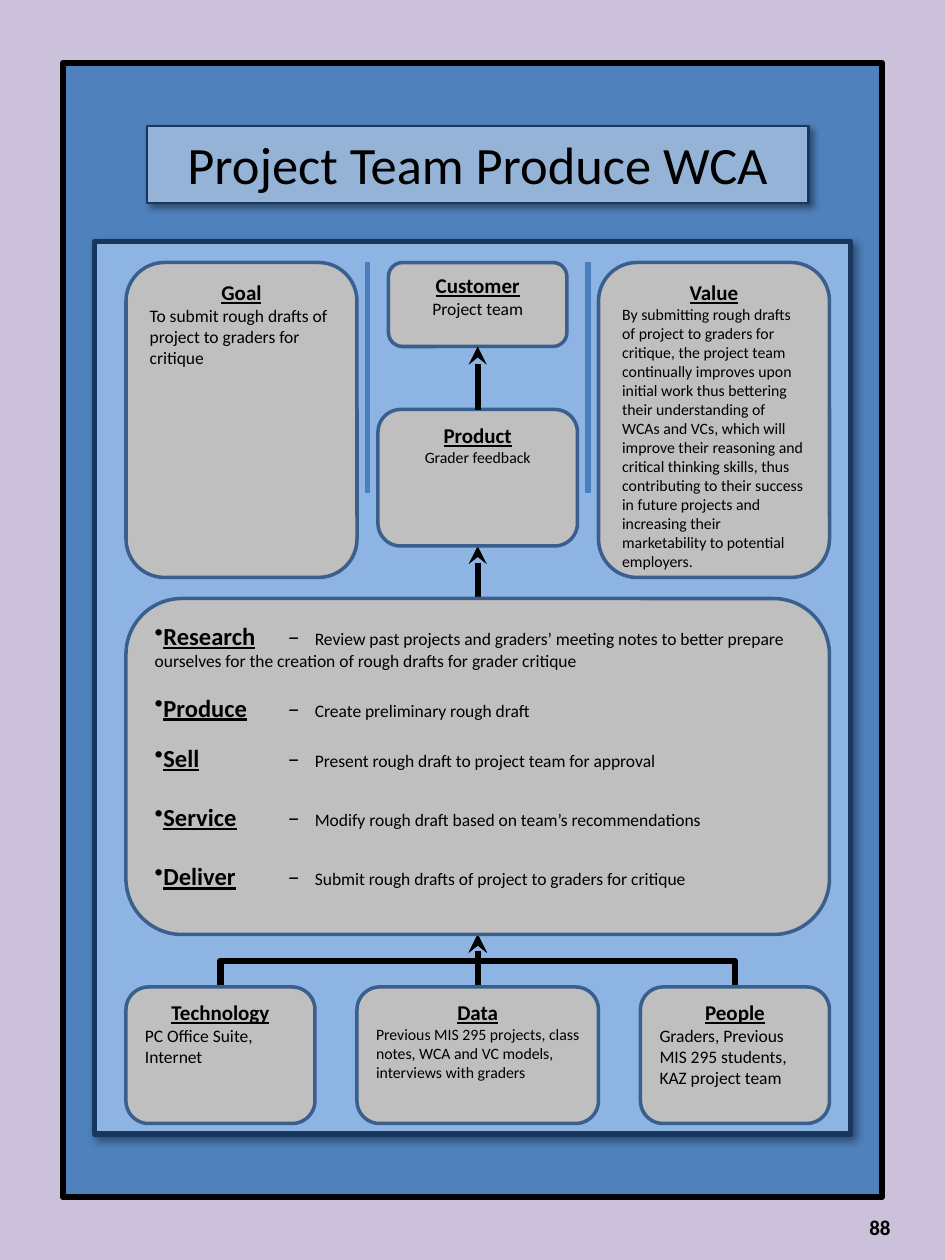
"""Build the work system snapshot slide for the project team."""
from dataclasses import dataclass

from lxml import etree
from pptx import Presentation, util as u
from pptx.dml import color
from pptx.enum import shapes, text
from pptx.oxml import ns

Pt = u.Pt
SHAPE = shapes.MSO_SHAPE
LINK = shapes.MSO_CONNECTOR
ALIGN = text.PP_ALIGN
ANCHOR = text.MSO_ANCHOR


@dataclass(frozen=True)
class Theme:
    font: str = "Calibri"
    back: str = "CCC1DA"
    frame: str = "4F81BD"
    panel: str = "8EB4E3"
    banner: str = "95B3D7"
    card: str = "BFBFBF"
    navy: str = "17375E"
    edge: str = "3A5F8C"
    rule: str = "4B7EBC"
    ink: str = "000000"
    title: float = 30
    step: float = 14
    head: float = 12
    body: float = 10
    small: float = 9


def rgb(code):
    return color.RGBColor.from_string(code)


def sub(node, tag, **attrs):
    return etree.SubElement(node, ns.qn(tag), attrs)


def apply(item, values):
    for name, value in values.items():
        setattr(item, name, value)


class Painter:
    def __init__(self, slide, theme):
        self.slide, self.theme = slide, theme
        fill = slide.background.fill
        fill.solid()
        fill.fore_color.rgb = rgb(theme.back)

    def shape(self, kind, area, fill, edge, width, shade=False):
        item = self.slide.shapes.add_shape(kind, *map(Pt, area))
        item.fill.solid()
        item.fill.fore_color.rgb = rgb(fill)
        item.line.color.rgb = rgb(edge)
        item.line.width = Pt(width)
        item.shadow.inherit = False
        if shade:
            effects = item._element.spPr.find(ns.qn("a:effectLst"))
            outer = sub(effects, "a:outerShdw", blurRad=str(Pt(4)), dist=str(Pt(3)),
                        dir="2700000", algn="tl", rotWithShape="0")
            tint = sub(outer, "a:srgbClr", val=self.theme.ink)
            sub(tint, "a:alpha", val="40000")
        apply(item.text_frame, {"word_wrap": True, "vertical_anchor": ANCHOR.TOP})
        return item

    def run(self, para, words, size, **style):
        part = para.add_run()
        part.text = words
        apply(part.font, {"name": self.theme.font, "size": Pt(size), **style})
        part.font.color.rgb = rgb(self.theme.ink)

    def title(self, area, words):
        t = self.theme
        para = self.shape(SHAPE.RECTANGLE, area, t.banner, t.navy, 1.5,
                          True).text_frame.paragraphs[0]
        para.alignment = ALIGN.CENTER
        self.run(para, words, t.title)

    def card(self, area):
        t = self.theme
        return self.shape(SHAPE.ROUNDED_RECTANGLE, area, t.card, t.edge, 2).text_frame

    def note(self, area, head, body, size, align=ALIGN.LEFT):
        frame = self.card(area)
        top = frame.paragraphs[0]
        top.alignment = ALIGN.CENTER
        self.run(top, head, self.theme.head, bold=True, underline=True)
        para = frame.add_paragraph()
        para.alignment = align
        self.run(para, body, size)

    def steps(self, area, rows):
        frame = self.card(area)
        for i, (head, body, gap) in enumerate(rows):
            para = frame.add_paragraph() if i else frame.paragraphs[0]
            props = para._p.get_or_add_pPr()
            apply(para, {"alignment": ALIGN.LEFT, "space_before": Pt(gap)})
            sub(props, "a:buChar", char="•")
            tabs = sub(props, "a:tabLst")
            for stop in (76, 91.5):
                sub(tabs, "a:tab", pos=str(Pt(stop)), algn="l")
            self.run(para, head, self.theme.step, bold=True, underline=True)
            self.run(para, "\t–\t", self.theme.step)
            self.run(para, body, self.theme.body)

    def line(self, start, end, tint, width, kind=LINK.STRAIGHT, tip=False, turn=0):
        link = self.slide.shapes.add_connector(kind, *map(Pt, (*start, *end)))
        link.line.color.rgb = rgb(tint)
        link.line.width = Pt(width)
        props = link._element.spPr
        if tip:
            sub(link.line._get_or_add_ln(), "a:tailEnd", type="stealth")
        if turn:
            props.xfrm.set("rot", str(turn * 60000))
        sub(props, "a:effectLst")

    def arrow(self, start, end, **extra):
        self.line(start, end, self.theme.ink, 3.5, tip=True, **extra)

    def elbow(self, start, end, turn):
        (x, y), (to, top) = start, end
        mid, level = (x + to) / 2, (y + top) / 2
        rise, span = (y - top) / 2, abs(to - x) / 2
        side = rise if turn == 90 else -rise
        self.arrow((mid + side, level + span), (mid - side, level - span),
                   kind=LINK.ELBOW, turn=turn)

    def number(self, area, words):
        frame = self.slide.shapes.add_textbox(*map(Pt, area)).text_frame
        apply(frame, {"word_wrap": True, "vertical_anchor": ANCHOR.MIDDLE})
        para = frame.paragraphs[0]
        para.alignment = ALIGN.RIGHT
        self.run(para, words, self.theme.head, bold=True)


def main():
    deck = Presentation()
    apply(deck, {"slide_width": Pt(540), "slide_height": Pt(720)})
    t = Theme()
    p = Painter(deck.slides.add_slide(deck.slide_layouts[6]), t)
    mid, left, top, work, low = 273, 72, 150, 342, 564
    base = work + 192

    p.shape(SHAPE.RECTANGLE, (36, 36, 468, 648), t.frame, t.ink, 3.75)
    p.shape(SHAPE.RECTANGLE, (54, 138, 432, 510), t.panel, t.navy, 3, True)
    p.arrow((mid, work), (mid, 312))
    p.elbow((126, low), (mid, base), 90)
    p.arrow((mid, low), (mid, base))
    p.elbow((420, low), (mid, base), 270)
    p.title((84, 72, 378, 44), "Project Team Produce WCA")

    p.note((222, top, 102, 48), "Customer", "Project team", t.body, ALIGN.CENTER)
    p.note((216, 234, 114, 78), "Product", "Grader feedback", t.small, ALIGN.CENTER)
    p.steps((left, work, 402, 192), [
        ("Research", "Review past projects and graders’ meeting notes to better prepare "
         "ourselves for the creation of rough drafts for grader critique", 0),
        ("Produce", "Create preliminary rough draft", 12),
        ("Sell", "Present rough draft to project team for approval", 12),
        ("Service", "Modify rough draft based on team’s recommendations", 17),
        ("Deliver", "Submit rough drafts of project to graders for critique", 17),
    ])
    for x, wide, head, body, size in [
        (left, 108, "Technology", "PC Office Suite, Internet", t.body),
        (204, 138, "Data", "Previous MIS 295 projects, class notes, WCA and VC models, "
         "interviews with graders", t.small),
        (366, 108, "People", "Graders, Previous MIS 295 students, KAZ project team", t.body),
    ]:
        p.note((x, low, wide, 78), head, body, size)
    for x, head, body, size in [
        (left, "Goal", "To submit rough drafts of project to graders for critique", t.body),
        (342, "Value", "By submitting rough drafts of project to graders for critique, the "
         "project team continually improves upon initial work thus bettering their "
         "understanding of WCAs and VCs, which will improve their reasoning and critical "
         "thinking skills, thus contributing to their success in future projects and "
         "increasing their marketability to potential employers.", t.small),
    ]:
        p.note((x, top, 132, 180), head, body, size)
    for x in (210, 336):
        p.line((x, top), (x, 282), t.rule, 3)
    p.arrow((mid, 234), (mid, 198))
    p.number((390, 682, 126, 38), "88")
    deck.save("out.pptx")


if __name__ == "__main__":
    main()
